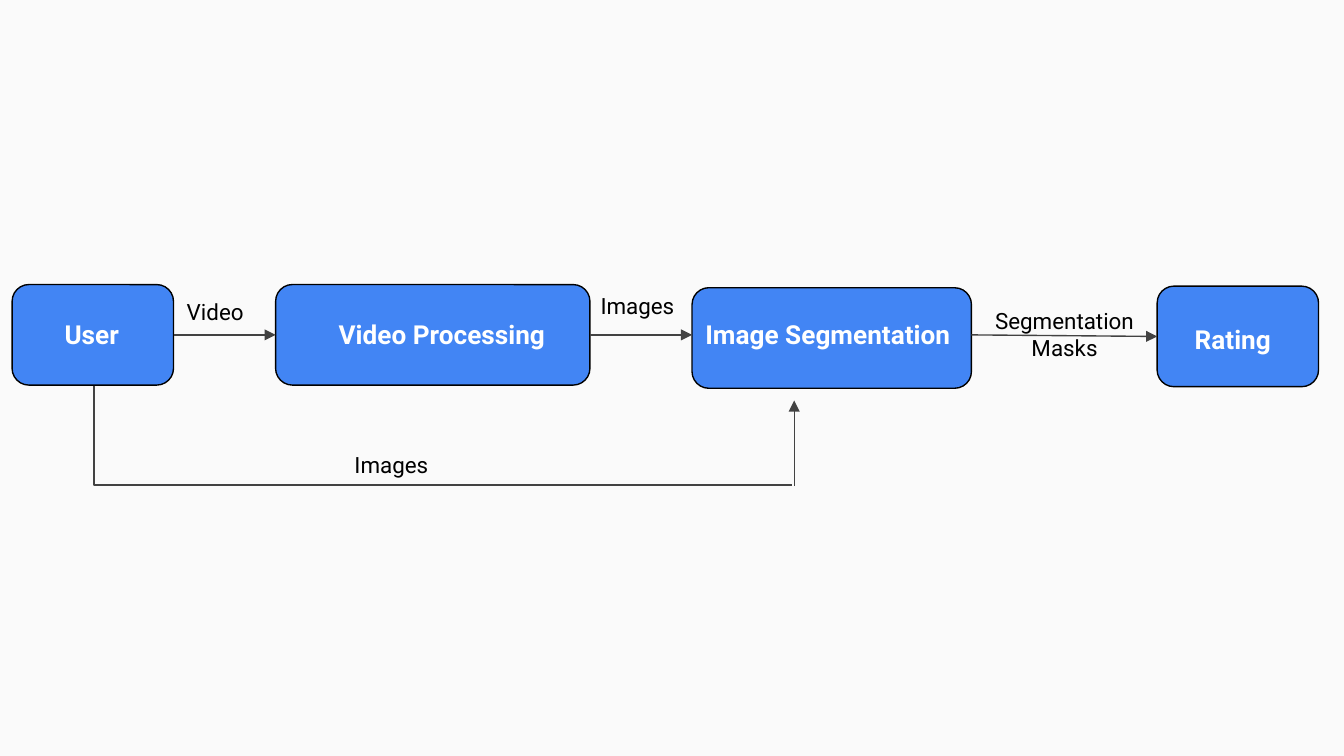
"""Build a slide with the flow from user video to segmentation rating."""
from dataclasses import dataclass
from typing import Optional

from lxml import etree
from pptx import Presentation
from pptx import util as u
from pptx.dml.color import RGBColor
from pptx.enum import shapes, text
from pptx.oxml.ns import qn

COLORS = {"background": "FAFAFA", "box": "4285F4", "outline": "000000",
          "arrow": "424242", "title": "FFFFFF", "label": "000000"}
TITLE_FORMAT = {"name": "Roboto", "size": u.Pt(14), "bold": True}
LABEL_FORMAT = {"name": "Roboto", "size": u.Pt(12), "bold": False}
FRAME_FORMAT = {"word_wrap": True, "auto_size": text.MSO_AUTO_SIZE.NONE,
                "vertical_anchor": text.MSO_ANCHOR.TOP,
                **{f"margin_{side}": u.Cm(0.25)
                   for side in ("left", "top", "right", "bottom")}}
BOX_HEIGHT = 1.9
TITLE_HEIGHT = 1.12
RIGHT_SIDE, LEFT_SIDE = 3, 1


@dataclass
class Box:
    title: str
    left: float
    top: float
    width: float
    title_left: float
    title_top: float
    title_width: float


@dataclass
class Label:
    lines: str
    left: float
    top: float
    width: float
    height: float = 1.02
    alignment: text.PP_ALIGN = text.PP_ALIGN.LEFT


@dataclass
class Arrow:
    start: tuple[float, float]
    end: tuple[float, float]
    source: Optional[str] = None
    target: Optional[str] = None


BOXES = [
    Box("User", 0.23, 5.38, 3.05, 0.97, 5.77, 1.96),
    Box("Video Processing", 5.21, 5.38, 5.94, 6.15, 5.77, 5.0),
    Box("Image Segmentation", 13.08, 5.44, 5.28, 13.08, 5.77, 5.28),
    Box("Rating", 21.87, 5.41, 3.05, 22.33, 5.87, 2.13),
]
ARROWS = [
    Arrow((3.28, 6.33), (5.21, 6.33), "User", "Video Processing"),
    Arrow((11.15, 6.33), (13.08, 6.33), "Video Processing"),
    Arrow((18.36, 6.33), (21.87, 6.36), target="Rating"),
    Arrow((15.01, 9.19), (15.01, 7.57)),
]
BYPASS = [(1.78, 7.29), (1.78, 9.17), (14.96, 9.17)]
LABELS = [
    Label("Video", 3.28, 5.38, 1.96),
    Label("Images", 6.45, 8.28, 2.13),
    Label("Images", 11.1, 5.28, 1.96),
    Label("Segmentation\nMasks", 18.52, 5.56, 3.2, 1.55, text.PP_ALIGN.CENTER),
]


def color(name: str) -> RGBColor:
    """Return a named colour."""
    return RGBColor.from_string(COLORS[name])


def apply(target, values: dict) -> None:
    """Set every attribute in values on the target."""
    for name, value in values.items():
        setattr(target, name, value)


def style_line(line, name: str) -> None:
    """Give a line its colour and width."""
    line.color.rgb = color(name)
    line.width = u.Pt(0.75)


def add_text(slide, label: Label, font_format: dict, color_name: str) -> None:
    """Add a text box with one paragraph for each line."""
    shape = slide.shapes.add_textbox(*map(
        u.Cm, (label.left, label.top, label.width, label.height)))
    apply(shape.text_frame, FRAME_FORMAT)
    shape.text_frame.text = label.lines
    for paragraph in shape.text_frame.paragraphs:
        paragraph.alignment = label.alignment
        font = paragraph.runs[0].font
        apply(font, font_format)
        font.color.rgb = color(color_name)


def add_box(slide, box: Box):
    """Add a rounded box with its title and return the box shape."""
    shape = slide.shapes.add_shape(
        shapes.MSO_SHAPE.ROUNDED_RECTANGLE,
        *map(u.Cm, (box.left, box.top, box.width, BOX_HEIGHT)))
    shape.shadow.inherit = False
    shape.fill.solid()
    shape.fill.fore_color.rgb = color("box")
    style_line(shape.line, "outline")
    title = Label(box.title, box.title_left, box.title_top,
                  box.title_width, TITLE_HEIGHT)
    add_text(slide, title, TITLE_FORMAT, "title")
    return shape


def add_arrow(slide, arrow: Arrow, box_shapes: dict) -> None:
    """Add an arrow, joined to the boxes it names."""
    connector = slide.shapes.add_connector(
        shapes.MSO_CONNECTOR.STRAIGHT, *map(u.Cm, arrow.start + arrow.end))
    if arrow.source:
        connector.begin_connect(box_shapes[arrow.source], RIGHT_SIDE)
    if arrow.target:
        connector.end_connect(box_shapes[arrow.target], LEFT_SIDE)
    style_line(connector.line, "arrow")
    properties = connector._element.spPr
    etree.SubElement(properties.find(qn("a:ln")), qn("a:tailEnd"), type="triangle")
    etree.SubElement(properties, qn("a:effectLst"))


def add_bypass(slide, points: list[tuple[float, float]]) -> None:
    """Add the open path that runs below the boxes."""
    start, *others = [(u.Cm(x), u.Cm(y)) for x, y in points]
    builder = slide.shapes.build_freeform(*start)
    builder.add_line_segments(others, close=False)
    shape = builder.convert_to_shape()
    shape.shadow.inherit = False
    shape.fill.background()
    style_line(shape.line, "arrow")


def main() -> None:
    """Build and save the presentation."""
    presentation = Presentation()
    apply(presentation, {"slide_width": u.Cm(25.4), "slide_height": u.Cm(14.29)})
    slide = presentation.slides.add_slide(presentation.slide_layouts[6])
    slide.background.fill.solid()
    slide.background.fill.fore_color.rgb = color("background")
    box_shapes = {box.title: add_box(slide, box) for box in BOXES}
    for arrow in ARROWS:
        add_arrow(slide, arrow, box_shapes)
    add_bypass(slide, BYPASS)
    for label in LABELS:
        add_text(slide, label, LABEL_FORMAT, "label")
    presentation.save("out.pptx")


if __name__ == "__main__":
    main()
